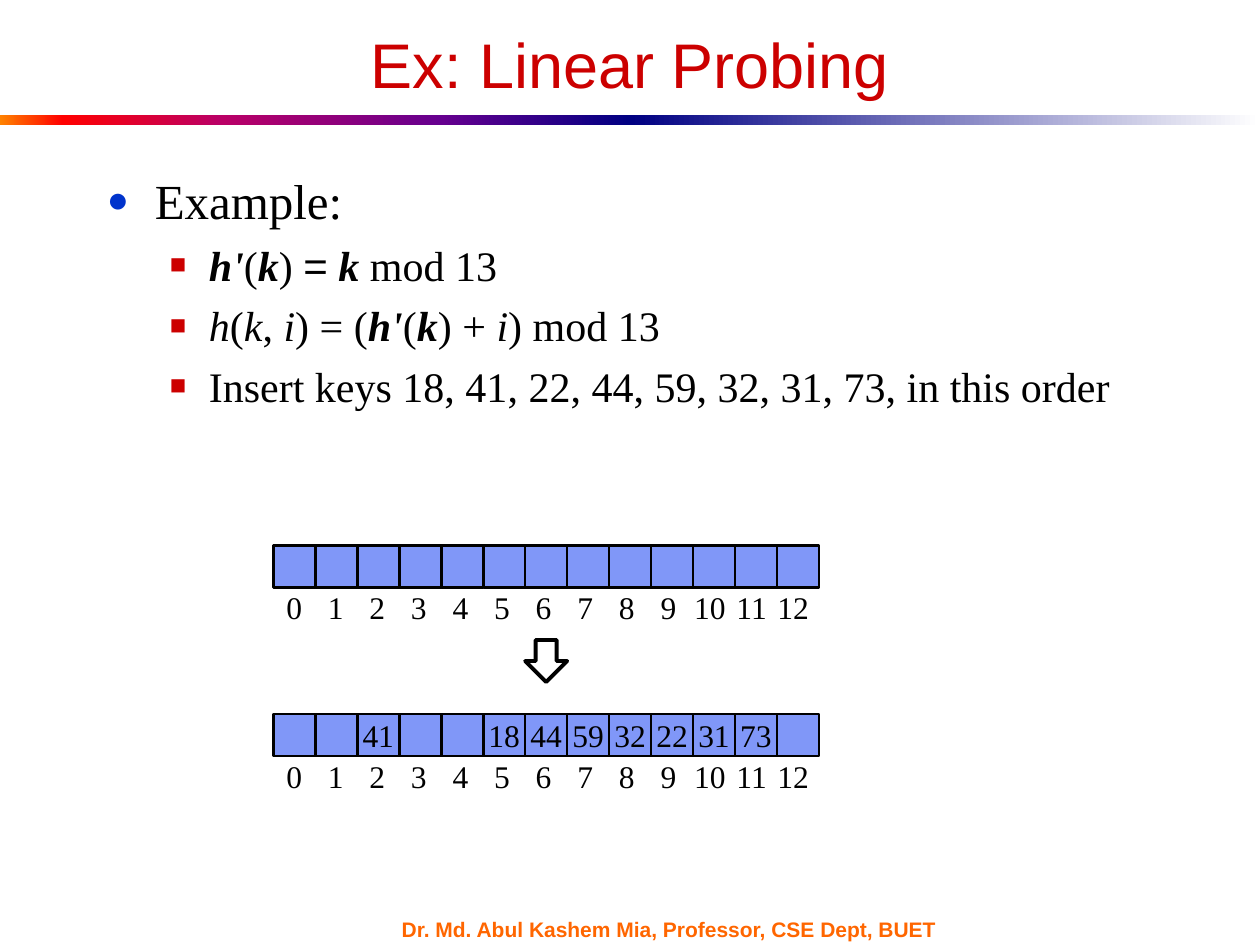
from lxml.etree import SubElement
from pptx import Presentation
from pptx.dml.color import RGBColor
from pptx.enum.shapes import MSO_SHAPE as Geom
from pptx.enum.text import MSO_ANCHOR as Anchor, PP_ALIGN as Align
from pptx.oxml.ns import qn
from pptx.util import Inches, Pt

BLACK = RGBColor(0x00, 0x00, 0x00)
WHITE = RGBColor(0xFF, 0xFF, 0xFF)
RED = RGBColor(0xCC, 0x00, 0x00)
BLUE = RGBColor(0x00, 0x33, 0xCC)
ORANGE = RGBColor(0xFF, 0x66, 0x00)
CELL = RGBColor(0x80, 0x97, 0xF8)
NAVY = RGBColor(0x00, 0x00, 0x82)
WARM = [
    (0, RGBColor(0xFF, 0x82, 0x00)),
    (10, RGBColor(0xFF, 0x00, 0x00)),
    (35, RGBColor(0xBA, 0x00, 0x66)),
    (70, RGBColor(0x66, 0x00, 0x8F)),
    (100, NAVY),
]
COOL = [(0, NAVY), (100, WHITE)]
SANS, SERIF = "Arial", "Times New Roman"

SLOTS = 13
KEYS = {2: 41, 5: 18, 6: 44, 7: 59, 8: 32, 9: 22, 10: 31, 11: 73}
RULES = [
    [("h'", "bi"), ("(", ""), ("k", "bi"), (") ", ""), ("=", "a"),
     (" k ", "bi"), ("mod 13", "")],
    [("h", "i"), ("(", ""), ("k", "i"), (", ", ""), ("i", "i"), (") = (", ""),
     ("h'", "bi"), ("(", ""), ("k", "bi"), (") + ", ""), ("i", "i"),
     (") mod 13", "")],
    [("Insert keys 18, 41, 22, 44, 59, 32, 31, 73, in this order", "")],
]


def write(para, text, size=18, font=SERIF, color=BLACK, bold=False, align=Align.LEFT):
    """Fill a paragraph from a string or (text, marks) runs: b bold, i italic, a Arial."""
    para.alignment = align
    runs = [(text, "")] if isinstance(text, str) else text
    for part, marks in runs:
        run = para.add_run()
        run.text = part
        face = run.font
        face.name = SANS if "a" in marks else font
        face.size = Pt(size)
        face.color.rgb = color
        face.bold = bold or "b" in marks
        face.italic = "i" in marks


def add_box(slide, left, top, width, height, wrap=False, anchor=Anchor.TOP):
    """Add a text box and return its text frame."""
    box = slide.shapes.add_textbox(Inches(left), Inches(top), Inches(width), Inches(height))
    frame = box.text_frame
    frame.word_wrap = wrap
    frame.vertical_anchor = anchor
    return frame


def add_shape(slide, geom, left, top, width, height, fill=None, line=None):
    """Add a flat preset shape with an optional fill and black outline."""
    shape = slide.shapes.add_shape(
        geom, Inches(left), Inches(top), Inches(width), Inches(height))
    shape.shadow.inherit = False
    if fill is None:
        shape.fill.background()
    else:
        shape.fill.solid()
        shape.fill.fore_color.rgb = fill
    if line is None:
        shape.line.fill.background()
    else:
        shape.line.color.rgb = BLACK
        shape.line.width = Pt(line)
    return shape


def add_bullet(para, mark, color, scale, left, hang):
    """Give a paragraph a coloured bullet and a hanging indent."""
    props = para._p.get_or_add_pPr()
    props.set("marL", str(Inches(left)))
    props.set("indent", str(-Inches(hang)))
    tint = SubElement(props, qn("a:buClr"))
    SubElement(tint, qn("a:srgbClr"), val=str(color))
    SubElement(props, qn("a:buSzPct"), val=str(scale * 1000))
    SubElement(props, qn("a:buFont"), typeface=SANS)
    SubElement(props, qn("a:buChar"), char=mark)


def draw_band(slide, left, top, width, height):
    """Draw the two-part gradient rule under the title."""
    half = width / 2
    for i, stops in enumerate((WARM, COOL)):
        bar = add_shape(slide, Geom.RECTANGLE, left + i * half, top, half, height)
        bar.fill.gradient()
        bar.fill.gradient_angle = 0
        ramp = bar._element.spPr.find(qn("a:gradFill")).find(qn("a:gsLst"))
        ramp.clear()
        for place, color in stops:
            stop = SubElement(ramp, qn("a:gs"), pos=str(place * 1000))
            SubElement(stop, qn("a:srgbClr"), val=str(color))


def draw_title(slide, left, top, width, height):
    """Place and format the title."""
    title = slide.shapes.title
    title.left, title.top = Inches(left), Inches(top)
    title.width, title.height = Inches(width), Inches(height)
    frame = title.text_frame
    frame.vertical_anchor = Anchor.MIDDLE
    write(frame.paragraphs[0], "Ex: Linear Probing", size=36, font=SANS,
          color=RED, align=Align.CENTER)


def draw_body(slide, left, top, width, height):
    """Write the example heading and its hash rules."""
    frame = add_box(slide, left, top, width, height, wrap=True)
    frame.margin_top = Inches(0.1)
    head = frame.paragraphs[0]
    add_bullet(head, "●", BLUE, 75, 0.38, 0.38)
    write(head, "Example:", size=28)
    for rule in RULES:
        para = frame.add_paragraph()
        para.level = 1
        para.space_before = Pt(5.8)
        add_bullet(para, "■", RED, 65, 0.81, 0.31)
        write(para, rule, size=24)


def draw_row(slide, left, top, side, keys):
    """Draw one hash table row with slot numbers below it."""
    for i in range(SLOTS):
        cell = add_shape(slide, Geom.RECTANGLE, left + i * side, top, side, side,
                         fill=CELL, line=1.5)
        if i in keys:
            frame = cell.text_frame
            frame.word_wrap = False
            frame.vertical_anchor = Anchor.MIDDLE
            write(frame.paragraphs[0], str(keys[i]), align=Align.CENTER)
    for i in range(SLOTS):
        wide = 0.33 if i < 10 else 0.45
        mid = left + 0.33 * (i + 0.5)
        frame = add_box(slide, mid - wide / 2, top + 0.29, wide, 0.4)
        write(frame.paragraphs[0], str(i), align=Align.CENTER)


def draw_probe(slide, left, top, width, height):
    """Draw the empty row, the arrow and the filled row."""
    side = width / SLOTS
    draw_row(slide, left, top, side, {})
    draw_row(slide, left, top + height - side, side, KEYS)
    add_shape(slide, Geom.DOWN_ARROW, left + 6 * side, top + 0.75, side, side, line=2.25)


def draw_foot(slide, left, top, width, height):
    """Write the lecturer line at the foot."""
    frame = add_box(slide, left, top, width, height, anchor=Anchor.MIDDLE)
    write(frame.paragraphs[0], "Dr. Md. Abul Kashem Mia, Professor, CSE Dept, BUET",
          size=12, font=SANS, color=ORANGE, bold=True)


def main():
    """Build and save the slide."""
    deck = Presentation()
    deck.slide_width, deck.slide_height = Inches(10), Inches(7.5)
    slide = deck.slides.add_slide(deck.slide_layouts[5])
    draw_band(slide, 0, 0.91, 10, 0.08)
    draw_foot(slide, 3.09, 7.28, 4.67, 0.18)
    draw_title(slide, 0.5, 0.25, 9, 0.51)
    draw_body(slide, 0.75, 1.25, 8.58, 2.42)
    draw_probe(slide, 2.17, 4.33, 4.33, 1.67)
    deck.save("out.pptx")


if __name__ == "__main__":
    main()
